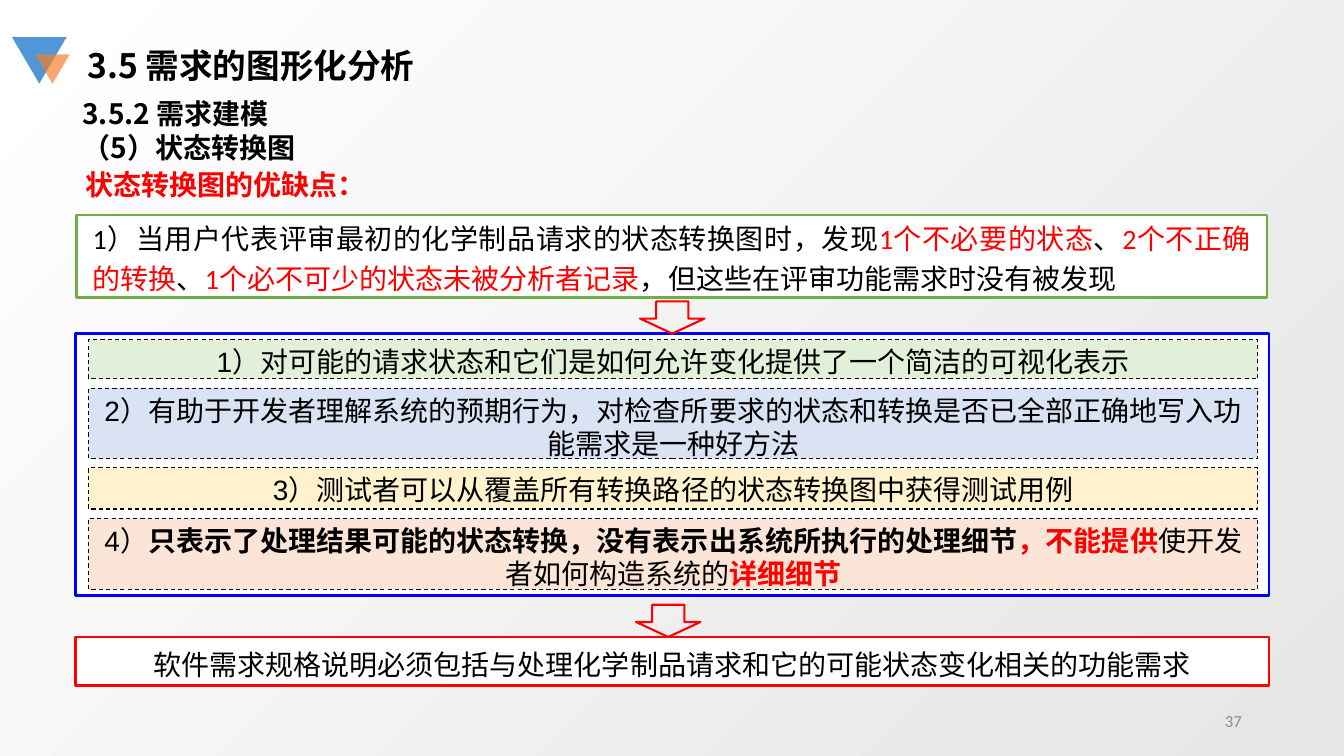
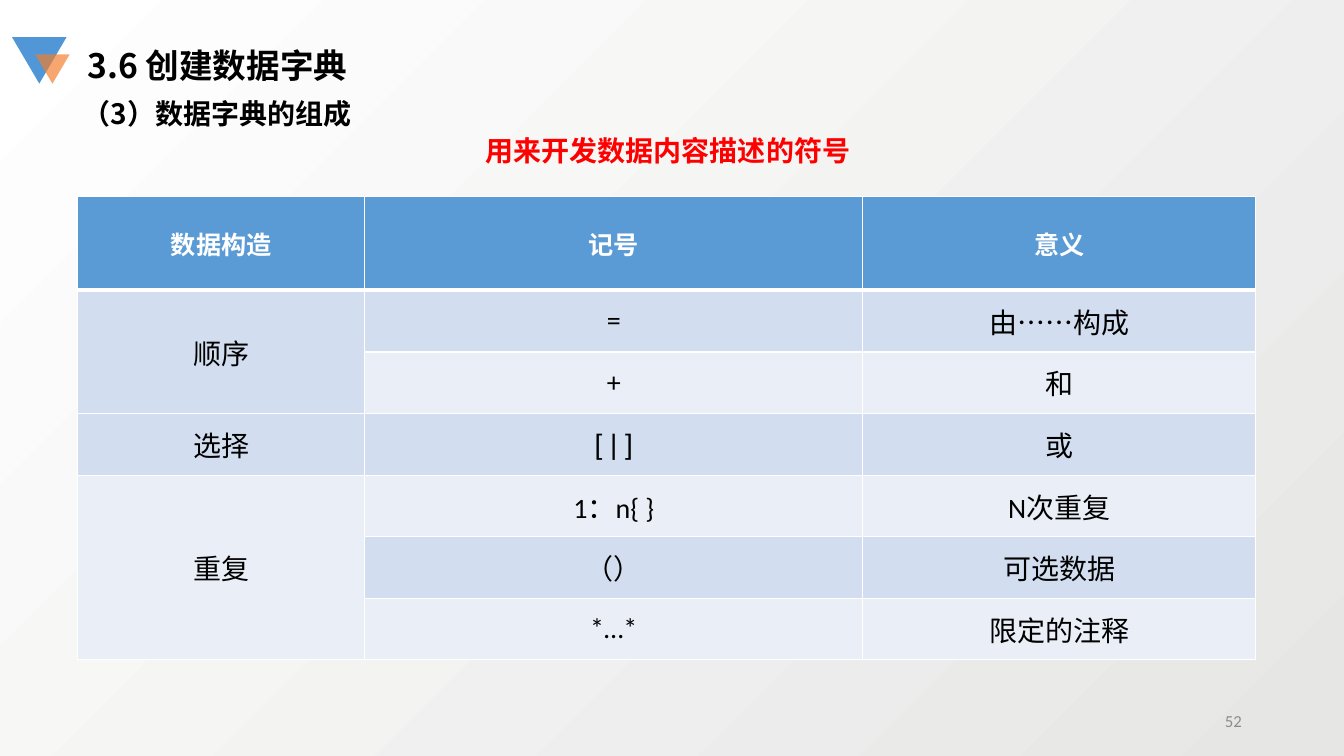
"""Build two course slides: state diagram pros and cons, and data dictionary symbols."""
from dataclasses import dataclass
from itertools import product

from lxml.etree import SubElement
from pptx import Presentation
from pptx.dml.color import RGBColor
from pptx.enum.dml import MSO_LINE
from pptx.enum.lang import MSO_LANGUAGE_ID as Lang
from pptx.enum.shapes import MSO_SHAPE as Shape
from pptx.enum.text import MSO_ANCHOR as Anchor, PP_ALIGN as Align
from pptx.oxml import parse_xml
from pptx.oxml.ns import nsdecls, qn
from pptx.util import Pt


@dataclass(frozen=True)
class Theme:
    black: str = "000000"
    white: str = "FFFFFF"
    red: str = "FF0000"
    blue: str = "0000FF"
    green: str = "70AD47"
    page_grey: str = "8C8C8C"
    backdrop: tuple = ("E6E6E5", "FFFFFF")
    mark_blue: str = "5197D7"
    mark_orange: str = "F37D2A"
    table_head: str = "5B9BD5"
    table_bands: tuple = ("EAEFF7", "D2DEEF")
    heading_font: str = "Noto Sans CJK SC"
    body_font: str = "Calibri"
    point_font: str = "Arial"
    header_font: str = "Times New Roman"
    title: int = 24
    body: int = 20
    header: int = 18
    page: int = 12


THEME = Theme()
RED = {"color": THEME.red}
BOLD = {"bold": True}
HEADING = {"name": THEME.heading_font, "bold": True}
POINT = {"name": THEME.point_font}

FINDING = [
    ("1）当用户代表评审最初的化学制品请求的状态转换图时，发现", {}),
    ("1个不必要的状态", RED), ("、", {}),
    ("2个不正确的转换", RED), ("、", {}),
    ("1个必不可少的状态未被分析者记录", RED),
    ("，但这些在评审功能需求时没有被发现", {}),
]
POINTS = [
    (28.1, "E2F0D9", [("1）对可能的请求状态和它们是如何允许变化提供了一个简洁的可视化表示", {})]),
    (50.4, "DAE3F3", [("2）有助于开发者理解系统的预期行为，对检查所要求的状态和转换是否已全部正确地写入功能需求是一种好方法", {})]),
    (29.5, "FFF2CC", [("3）测试者可以从覆盖所有转换路径的状态转换图中获得测试用例", {})]),
    (51.1, "FBE5D6", [
        ("4）", {}),
        ("只表示了处理结果可能的状态转换，没有表示出系统所执行的处理细节", BOLD),
        ("，不能提供", BOLD | RED),
        ("使开发者如何构造系统的", {}),
        ("详细细节", BOLD | RED),
    ]),
]
CONCLUSION = [("软件需求规格说明必须包括与处理化学制品请求和它的可能状态变化相关的功能需求", {})]
SYMBOLS = [
    ("数据构造", "记号", "意义"),
    ("顺序", "=", "由……构成"),
    ("", "+", "和"),
    ("选择", "[ | ]", "或"),
    ("重复", "1：n{ }", "N次重复"),
    ("", "（）", "可选数据"),
    ("", "*…*", "限定的注释"),
]
GROUPS = [(1, 2), (4, 6)]
COLUMN_WIDTHS = (205.2, 355.7, 280.8)
HEAD_HEIGHT, ROW_HEIGHT = 67, 44


def rgb(value):
    return RGBColor.from_string(value)


def write_runs(paragraph, runs, base):
    defaults = {"name": THEME.body_font, "size": THEME.body, "color": THEME.black, "bold": False}
    for text, changes in runs:
        run = paragraph.add_run()
        run.text = text
        values = defaults | base | changes
        run.font.color.rgb = rgb(values.pop("color"))
        values |= {"size": Pt(values["size"]), "language_id": Lang.SIMPLIFIED_CHINESE}
        for name, value in values.items():
            setattr(run.font, name, value)
        east_asian = SubElement(run._r.get_or_add_rPr(), qn("a:ea"))
        east_asian.set("typeface", THEME.heading_font)


def fill_frame(frame, paragraphs, base, align=Align.LEFT, anchor=Anchor.TOP, spacing=1.0, side=7.2, edge=3.6):
    settings = {
        "word_wrap": True, "vertical_anchor": anchor,
        "margin_left": Pt(side), "margin_right": Pt(side),
        "margin_top": Pt(edge), "margin_bottom": Pt(edge),
    }
    for name, value in settings.items():
        setattr(frame, name, value)
    for index, runs in enumerate(paragraphs):
        paragraph = frame.add_paragraph() if index else frame.paragraphs[0]
        paragraph.alignment = align
        paragraph.line_spacing = spacing
        write_runs(paragraph, runs, base)


def add_text(slide, place, lines, base, **layout):
    box = slide.shapes.add_textbox(*map(Pt, place))
    fill_frame(box.text_frame, [[(line, {})] for line in lines], base, **layout)


def add_figure(slide, kind, place, fill=None, line=None, width=1.75):
    shape = slide.shapes.add_shape(kind, *map(Pt, place))
    shape.shadow.inherit = False
    if fill:
        shape.fill.solid()
        shape.fill.fore_color.rgb = rgb(fill)
    else:
        shape.fill.background()
    if line:
        shape.line.color.rgb = rgb(line)
        shape.line.width = Pt(width)
    else:
        shape.line.fill.background()
    return shape


def add_arrow(slide, left, top):
    arrow = add_figure(slide, Shape.DOWN_ARROW, (left, top, 46, 23), line=THEME.red, width=1.5)
    arrow.adjustments[0], arrow.adjustments[1] = 0.5, 0.466


def add_base_slide(presentation, title, subtitles, page):
    slide = presentation.slides.add_slide(presentation.slide_layouts[6])
    backdrop = slide.background.fill
    backdrop.gradient()
    backdrop.gradient_angle = 135
    for stop, color in zip(backdrop.gradient_stops, THEME.backdrop):
        stop.color.rgb = rgb(color)
    marks = [((8.6, 26.6, 38.9, 33.1), THEME.mark_blue), ((25.2, 38.9, 24.5, 20.9), THEME.mark_orange)]
    for place, color in marks:
        mark = add_figure(slide, Shape.ISOSCELES_TRIANGLE, place, color)
        mark.rotation = 180
    color_element = mark.fill._xPr.find(qn("a:solidFill"))[0]
    SubElement(color_element, qn("a:alpha")).set("val", "68000")
    add_text(slide, (55.4, 28.8, 254, 36), [title], HEADING | {"size": THEME.title})
    add_text(slide, (51.8, 65.5, 611, 7.2 + 24 * len(subtitles)), subtitles, HEADING)
    add_text(slide, (678.2, 500.4, 216, 28.8), [page],
             {"size": THEME.page, "color": THEME.page_grey}, align=Align.RIGHT, anchor=Anchor.MIDDLE)
    return slide


def build_state_slide(presentation):
    slide = add_base_slide(presentation, "3.5 需求的图形化分析", ["3.5.2 需求建模", "（5）状态转换图"], "37")
    add_text(slide, (54, 115.9, 480, 31.7), ["状态转换图的优缺点："], HEADING | RED)
    panels = [
        ((54.7, 153.4, 850.3, 59), THEME.green, FINDING, Align.JUSTIFY, Anchor.TOP),
        ((54, 455, 852.5, 34.6), THEME.red, CONCLUSION, Align.CENTER, Anchor.MIDDLE),
    ]
    for place, line, runs, align, anchor in panels:
        panel = add_figure(slide, Shape.RECTANGLE, place, THEME.white, line)
        fill_frame(panel.text_frame, [runs], {}, align, anchor, spacing=1.2, side=11.5, edge=0)
    add_figure(slide, Shape.RECTANGLE, (54, 238.3, 852.5, 187.2), THEME.white, THEME.blue)
    for left, top in [(457.2, 215.3), (454.3, 432)]:
        add_arrow(slide, left, top)
    top, gap = 242.6, 6.5
    for height, fill, runs in POINTS:
        point = add_figure(slide, Shape.RECTANGLE, (63.4, top, 835.2, height), fill, THEME.black, 0.75)
        point.line.dash_style = MSO_LINE.DASH
        fill_frame(point.text_frame, [runs], POINT, Align.CENTER)
        top += height + gap


def set_borders(cell, row):
    widths = {"L": 1, "R": 1, "T": 3 if row == 1 else 1, "B": 3 if row == 0 else 1}
    properties = cell._tc.get_or_add_tcPr()
    for index, (side, width) in enumerate(widths.items()):
        properties.insert(index, parse_xml(
            f'<a:ln{side} {nsdecls("a")} w="{Pt(width)}"><a:solidFill>'
            f'<a:srgbClr val="{THEME.white}"/></a:solidFill></a:ln{side}>'))


def build_dictionary_slide(presentation):
    slide = add_base_slide(presentation, "3.6 创建数据字典", ["（3）数据字典的组成"], "52")
    add_text(slide, (339.8, 87.8, 280.8, 41.8), ["用来开发数据内容描述的符号"], BOLD | RED,
             anchor=Anchor.MIDDLE, spacing=0.9)
    heights = [HEAD_HEIGHT] + [ROW_HEIGHT] * (len(SYMBOLS) - 1)
    place = (55.4, 140.4, sum(COLUMN_WIDTHS), sum(heights))
    table = slide.shapes.add_table(len(SYMBOLS), len(COLUMN_WIDTHS), *map(Pt, place)).table
    for column, width in zip(table.columns, COLUMN_WIDTHS):
        column.width = Pt(width)
    for row, height in zip(table.rows, heights):
        row.height = Pt(height)
    header = {"name": THEME.header_font, "size": THEME.header, "color": THEME.white, "bold": True}
    for row, column in product(range(len(heights)), range(len(COLUMN_WIDTHS))):
        cell = table.cell(row, column)
        cell.fill.solid()
        cell.fill.fore_color.rgb = rgb(THEME.table_bands[row % 2] if row else THEME.table_head)
        set_borders(cell, row)
        cell.vertical_anchor = Anchor.MIDDLE
        text = SYMBOLS[row][column]
        if text:
            paragraph = cell.text_frame.paragraphs[0]
            paragraph.alignment = Align.CENTER
            write_runs(paragraph, [(text, POINT if text == "[ | ]" else {})], {} if row else header)
    for first, last in GROUPS:
        table.cell(first, 0).merge(table.cell(last, 0))


def main():
    presentation = Presentation()
    presentation.slide_width, presentation.slide_height = Pt(960), Pt(540)
    build_state_slide(presentation)
    build_dictionary_slide(presentation)
    presentation.save("out.pptx")


if __name__ == "__main__":
    main()
